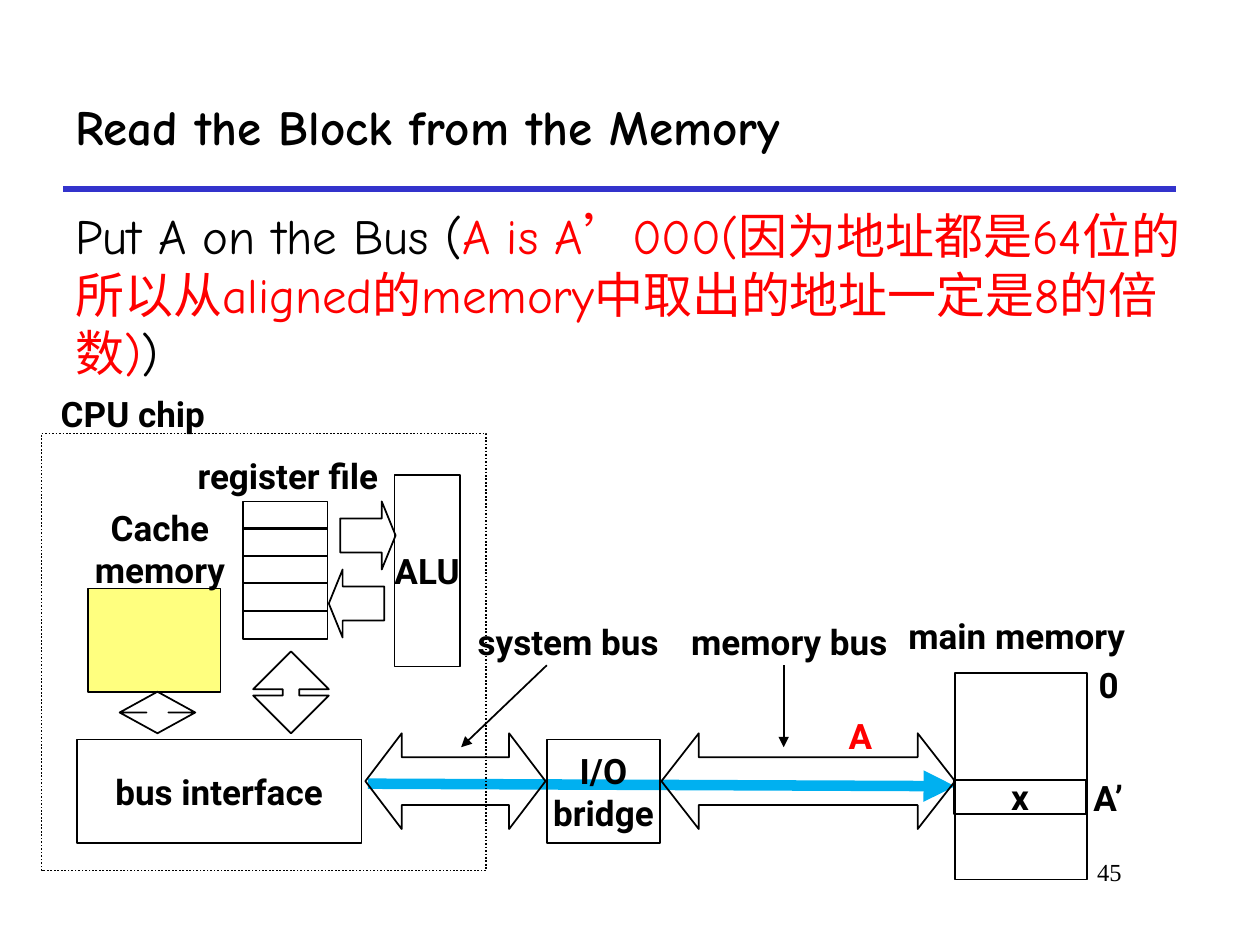
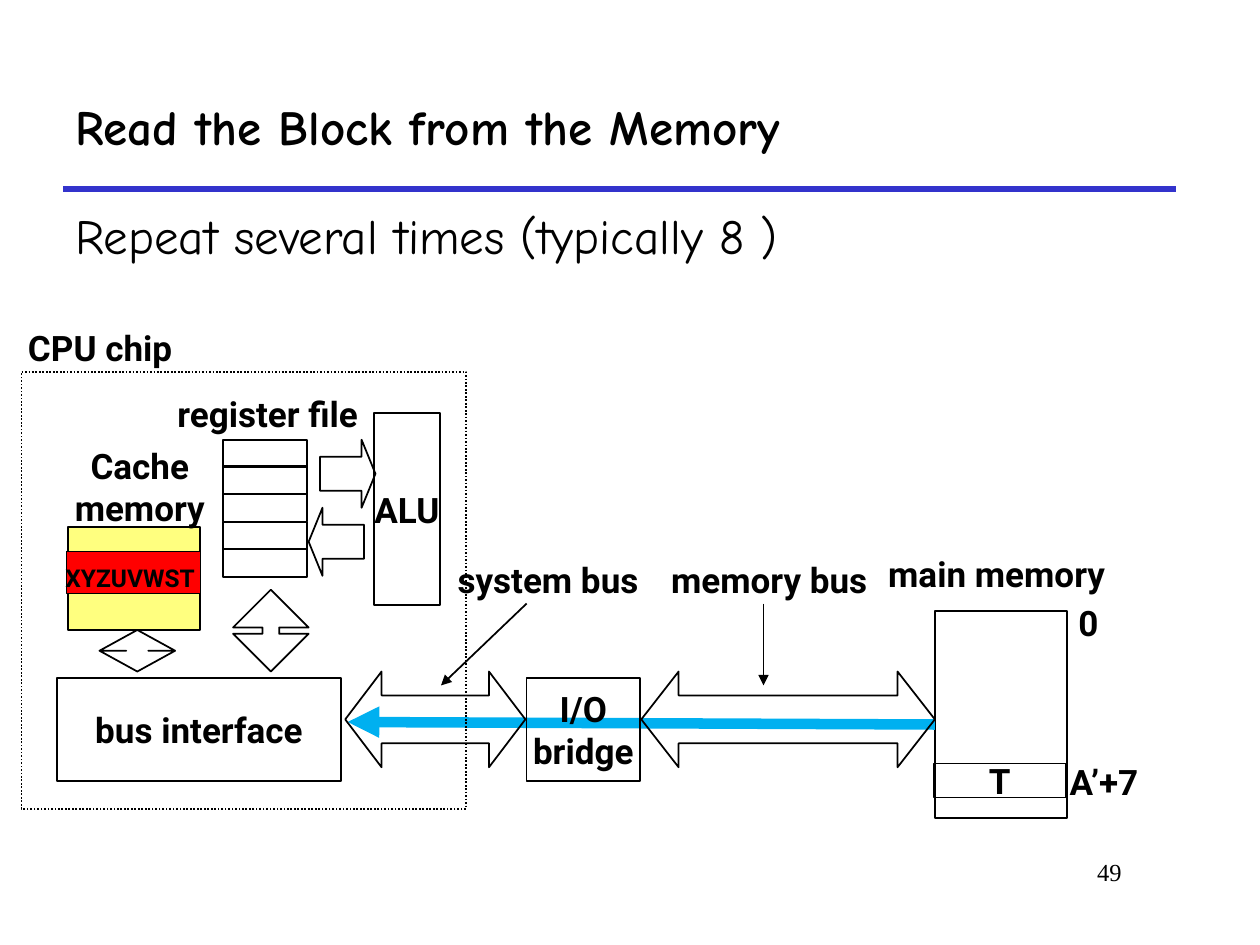
from dataclasses import dataclass

from lxml import etree
from pptx import Presentation
from pptx.dml.color import RGBColor
from pptx.enum.dml import MSO_LINE
from pptx.enum.shapes import MSO_CONNECTOR, MSO_SHAPE
from pptx.enum.text import MSO_ANCHOR, PP_ALIGN
from pptx.oxml.ns import qn
from pptx.slide import Slide
from pptx.util import Emu, Pt

PX = 9144
RECT = MSO_SHAPE.RECTANGLE
RIGHT_ARROW = MSO_SHAPE.RIGHT_ARROW
LEFT_ARROW = MSO_SHAPE.LEFT_ARROW
WIDE_ARROW = MSO_SHAPE.LEFT_RIGHT_ARROW
TALL_ARROW = MSO_SHAPE.UP_DOWN_ARROW
STRAIGHT = MSO_CONNECTOR.STRAIGHT
DOTS = MSO_LINE.ROUND_DOT
MIDDLE = MSO_ANCHOR.MIDDLE
TOP = MSO_ANCHOR.TOP
LEFT = PP_ALIGN.LEFT
CENTER = PP_ALIGN.CENTER
RIGHT = PP_ALIGN.RIGHT

BLACK = "000000"
RED = "FF0000"
YELLOW = "FFFF00"
CYAN = "00B0F0"
NAVY = "3333CC"
HAND = "Comic Neue"
SANS = "Roboto"
SERIF = "Times New Roman"


@dataclass
class Page:
    slide: Slide
    dx: int = 0
    dy: int = 0

    def spot(self, x, y):
        return Emu((x + self.dx) * PX), Emu((y + self.dy) * PX)


def color(code):
    return RGBColor.from_string(code)


def style(font, name, size, ink, bold):
    font.name = name
    font.size = Pt(size)
    font.bold = bold
    font.color.rgb = color(ink)


def write(shape, text, name=SANS, size=20, ink=BLACK, bold=True,
          align=CENTER, anchor=MIDDLE, wrap=False):
    frame = shape.text_frame
    frame.word_wrap = wrap
    frame.vertical_anchor = anchor
    for i, line in enumerate(text.split("\n")):
        para = frame.add_paragraph() if i else frame.paragraphs[0]
        para.text = line
        para.alignment = align
        style(para.font, name, size, ink, bold)


def label(page, box, text, **look):
    x, y, w, h = box
    shape = page.slide.shapes.add_textbox(*page.spot(x, y), w * PX, h * PX)
    write(shape, text, **look)
    return shape


def block(page, box, text="", kind=RECT, adjust=(), fill=None, alpha=None,
          width=1, dash=None):
    x, y, w, h = box
    shape = page.slide.shapes.add_shape(kind, *page.spot(x, y), w * PX, h * PX)
    shape.shadow.inherit = False
    for i, value in enumerate(adjust):
        shape.adjustments[i] = value
    if fill:
        shape.fill.solid()
        shape.fill.fore_color.rgb = color(fill)
    else:
        shape.fill.background()
    if alpha:
        tint = shape.fill._xPr.find(".//" + qn("a:srgbClr"))
        etree.SubElement(tint, qn("a:alpha"), val=str(alpha * 1000))
    shape.line.color.rgb = color(BLACK)
    shape.line.width = Pt(width)
    if dash:
        shape.line.dash_style = dash
    if text:
        write(shape, text)


def line(page, start, end, ink=BLACK, width=1, tip=None):
    wire = page.slide.shapes.add_connector(
        STRAIGHT, *page.spot(*start), *page.spot(*end))
    wire.line.color.rgb = color(ink)
    wire.line.width = Pt(width)
    if tip:
        etree.SubElement(wire.line._get_or_add_ln(), qn("a:" + tip), type="triangle")
    etree.SubElement(wire._element.spPr, qn("a:effectLst"))


def frame(deck, number, parts):
    page = Page(deck.slides.add_slide(deck.slide_layouts[6]))
    line(page, (50, 150), (933, 150), NAVY, 3)
    label(page, (758, 675, 142, 50), number, name=SERIF, size=14,
          bold=False, align=RIGHT, anchor=TOP, wrap=True)
    label(page, (50, 50, 883, 100), "Read the Block from the Memory",
          name=HAND, size=28, align=LEFT, wrap=True)
    body = label(page, (50, 158, 908, 100), "", name=HAND, size=28,
                 bold=False, align=LEFT, anchor=TOP, wrap=True)
    for text, ink in parts:
        run = body.text_frame.paragraphs[0].add_run()
        run.text = text
        style(run.font, HAND, 28, ink, False)
    return page.slide


def memory(page, cell, top, tip):
    block(page, (758, 534, 105, 164))
    line(page, (292, 622), (758, 624), CYAN, 6, tip)
    label(page, (862, 521, 36, 44), "0")
    block(page, (757, top, 105, 27), cell)
    label(page, (706, 482, 202, 44), "main memory")


def buses(page):
    block(page, (525, 582, 233, 76), kind=WIDE_ARROW, adjust=(0.5, 0.39))
    block(page, (434, 587, 90, 82), "I/O\nbridge")
    block(page, (290, 582, 143, 76), kind=WIDE_ARROW, adjust=(0.5, 0.38))
    label(page, (364, 487, 174, 44), "system bus")
    line(page, (434, 528), (366, 593), tip="tailEnd")
    label(page, (533, 487, 187, 44), "memory bus")
    line(page, (622, 528), (622, 593), tip="tailEnd")


def chip(page):
    block(page, (61, 587, 226, 82), "bus interface")
    for i in range(5):
        block(page, (193, 398 + i * 87 // 4, 67, 22))
    block(page, (270, 398, 44, 54), kind=RIGHT_ARROW, adjust=(0.5, 0.25))
    block(page, (261, 452, 44, 54), kind=LEFT_ARROW, adjust=(0.5, 0.25))
    block(page, (313, 377, 52, 152), "ALU")
    label(page, (143, 355, 171, 44), "register file")
    block(page, (201, 517, 60, 65), kind=TALL_ARROW, adjust=(0.5, 0.22))
    block(page, (33, 344, 353, 347), dash=DOTS)
    block(page, (70, 467, 105, 82), fill=YELLOW, alpha=50)
    block(page, (95, 549, 60, 33), kind=TALL_ARROW, adjust=(0.5, 0.29))
    label(page, (56, 397, 142, 77), "Cache\nmemory", anchor=TOP, wrap=True)


def machine(page, cell, top, tip):
    memory(page, cell, top, tip)
    buses(page)
    chip(page)


def main():
    deck = Presentation()
    deck.slide_width = Emu(1000 * PX)
    deck.slide_height = Emu(750 * PX)

    slide = frame(deck, "45", [
        ("Put A on the Bus (", BLACK),
        ("A is A’000(因为地址都是64位的所以从aligned的memory中取出的地址一定是8的倍数)", RED),
        (")", BLACK)])
    page = Page(slide)
    machine(page, "x", 619, "tailEnd")
    label(page, (33, 306, 145, 44), "CPU chip")
    label(page, (663, 562, 40, 44), "A", ink=RED)
    label(page, (856, 611, 47, 44), "A’")

    slide = frame(deck, "49", [("Repeat several times (typically 8 )", BLACK)])
    machine(Page(slide, -16, -49), "T", 655, "headEnd")
    page = Page(slide)
    label(page, (7, 254, 145, 44), "CPU chip")
    label(page, (839, 598, 79, 44), "A’+7", align=LEFT)
    block(page, (53, 438, 106, 33), fill=RED, width=0.75)
    label(page, (42, 442, 129, 34), "XYZUVWST", size=14, align=LEFT, anchor=TOP)

    deck.save("out.pptx")


if __name__ == "__main__":
    main()
